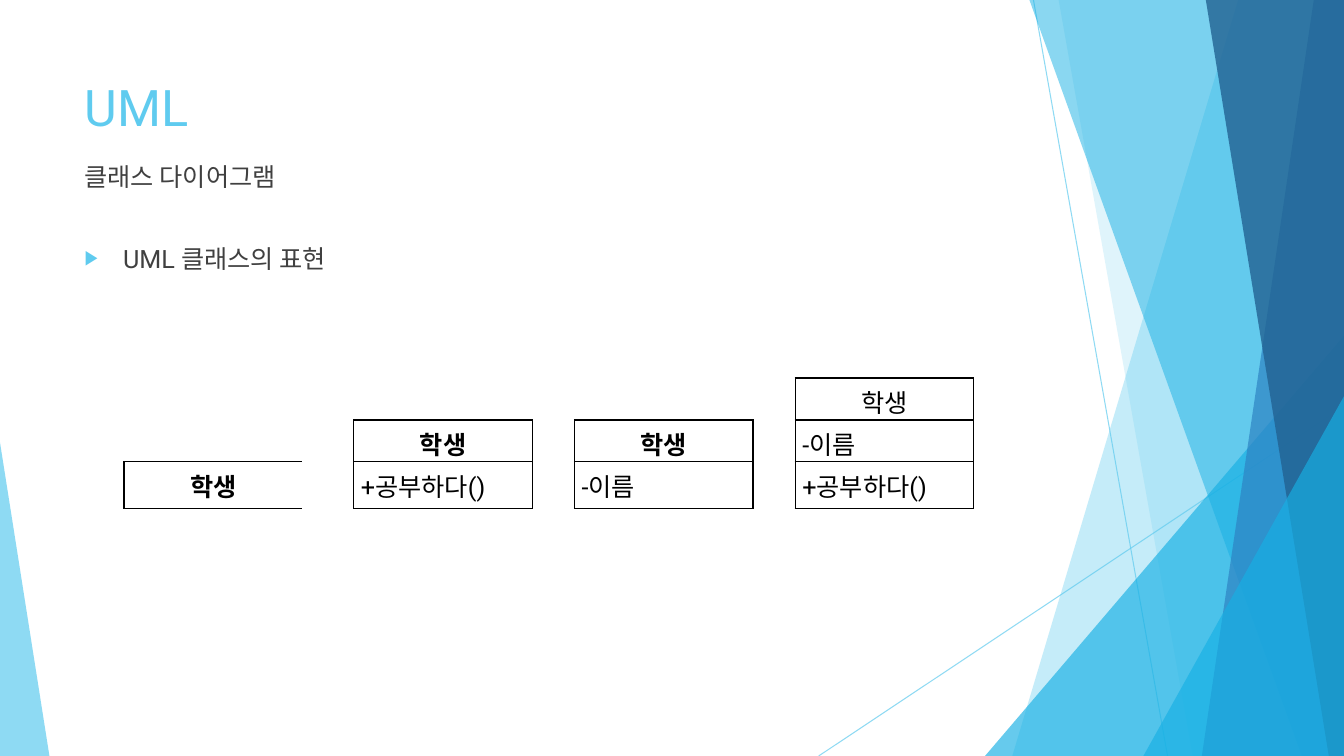
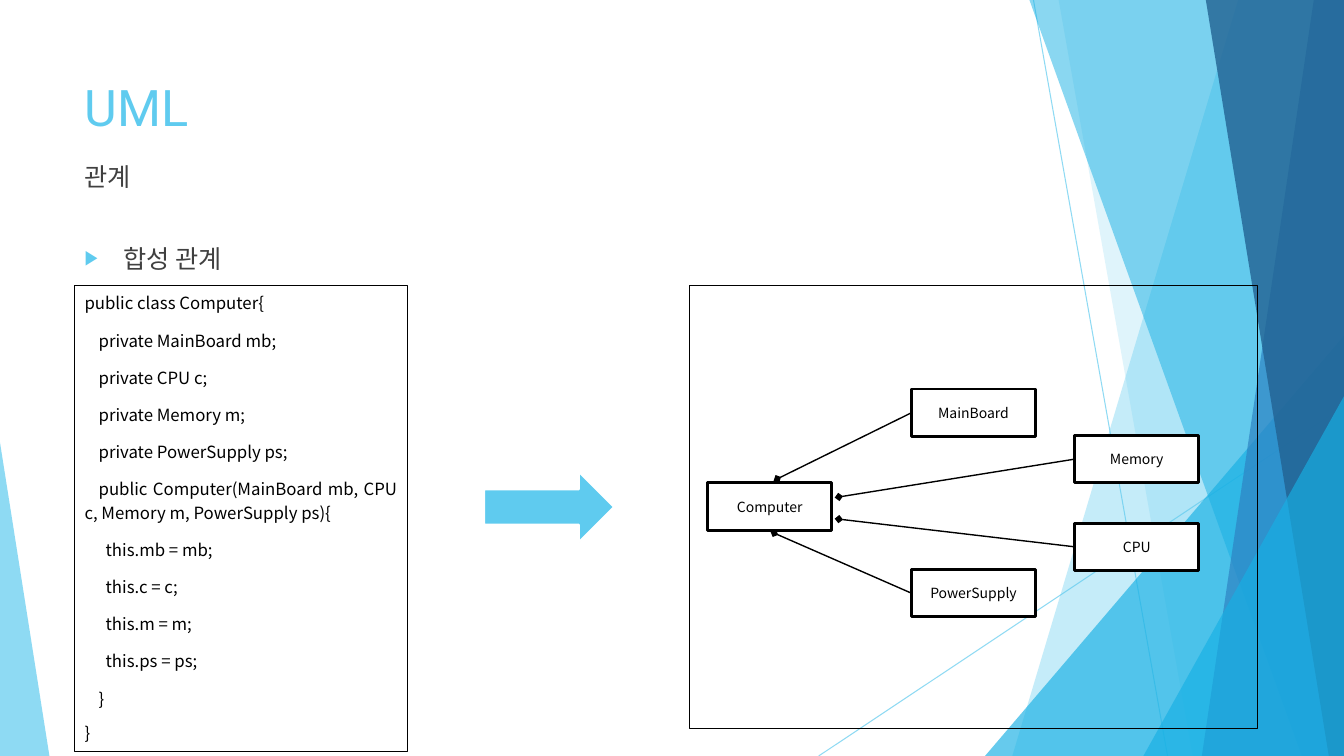
import pptx
import pptx.util
import pptx.dml.color
import pptx.enum.shapes
import pptx.enum.text
import pptx.oxml
import pptx.oxml.ns
import lxml.etree

Inches = pptx.util.Inches
Pt = pptx.util.Pt
RGBColor = pptx.dml.color.RGBColor
Shape = pptx.enum.shapes.MSO_SHAPE
Align = pptx.enum.text.PP_ALIGN
Anchor = pptx.enum.text.MSO_ANCHOR
qn = pptx.oxml.ns.qn

SKY = RGBColor(0x5F, 0xCB, 0xEF)
CYAN = RGBColor(0x17, 0xB0, 0xE4)
BLUE = RGBColor(0x2E, 0x83, 0xC3)
NAVY = RGBColor(0x22, 0x62, 0x92)
GREY = RGBColor(0x40, 0x40, 0x40)
BLACK = RGBColor(0, 0, 0)
WHITE = RGBColor(255, 255, 255)
LATIN, KOREAN = "Roboto", "Noto Sans CJK KR"
WIDTH, HEIGHT = 13.33, 7.5
LEFT, TEXT_WIDTH = 0.74, 9.4

RAYS = [((10.25, 0), (11.58, HEIGHT)), ((WIDTH, 4.03), (8.12, HEIGHT))]
BANDS = [
    ("band", 12.28, 10.04, SKY, 36),
    ("band", 10.5, 11.83, SKY, 20),
    ("triangle", (9.77, 3.33, 3.56), 1, CYAN, 66),
    ("band", 10.21, 12.91, CYAN, 50),
    ("band", 13.03, 11.92, BLUE, 70),
    ("band", 11.96, 13.18, NAVY, 80),
    ("triangle", (11.34, 3.93, 1.99), 1, CYAN, 66),
    ("triangle", (0, 4.39, 0.49), 0, SKY, 70),
]

CLASS_SLIDE = ("UML", "클래스 다이어그램", "UML 클래스의 표현")
RELATION_SLIDE = ("UML", "관계", "합성 관계")

CLASS_COLUMNS = [1.77, 0.51, 1.77, 0.42, 1.77, 0.42, 1.77]
CLASS_ROW, CLASS_ROWS = 0.41, 3
CLASS_BOXES = {
    0: ["학생"],
    2: ["학생", "+공부하다()"],
    4: ["학생", "-이름"],
    6: ["학생", "-이름", "+공부하다()"],
}

CODE_STEP = 0.14
CODE = [
    (0, "public class Computer{"),
    (1, "private MainBoard mb;"),
    (1, "private CPU c;"),
    (1, "private Memory m;"),
    (1, "private PowerSupply ps;"),
    (1, "public Computer(MainBoard mb, CPU c, Memory m, PowerSupply ps){"),
    (1.5, "this.mb = mb;"),
    (1.5, "this.c = c;"),
    (1.5, "this.m = m;"),
    (1.5, "this.ps = ps;"),
    (1, "}"),
    (0, "}"),
]

PANEL_TOP = 2.83
NODE_WIDTH, NODE_HEIGHT = 1.23, 0.47
WHOLE = ("Computer", 7.02, 4.79)
PARTS = [
    ("PowerSupply", 9.04, 5.65, (7.68, 5.29)),
    ("CPU", 10.66, 5.19, (8.32, 5.15)),
    ("Memory", 10.66, 4.32, (8.32, 4.93)),
    ("MainBoard", 9.04, 3.86, (7.71, 4.75)),
]


def add_xml(parent, tag, **attributes):
    child = lxml.etree.SubElement(parent, qn(tag))
    for name, value in attributes.items():
        child.set(name, str(value))
    return child


def set_alpha(shape, percent):
    color = shape.element.xpath(".//p:spPr//a:srgbClr")[0]
    add_xml(color, "a:alpha", val=percent * 1000)


def style_text(paragraph, size, color, font=LATIN, bold=False):
    for run in paragraph.runs:
        run.font.size = Pt(size)
        run.font.name = font
        run.font.bold = bold
        run.font.color.rgb = color
        add_xml(run.font._element, "a:ea", typeface=KOREAN)


def place(shape, left, top, width, height):
    shape.left, shape.top = Inches(left), Inches(top)
    shape.width, shape.height = Inches(width), Inches(height)


def add_box(slide, kind, left, top, width, height, fill=None, line=None, weight=0.75):
    shape = slide.shapes.add_shape(kind, Inches(left), Inches(top), Inches(width), Inches(height))
    paint(shape, fill, line, weight)
    return shape


def paint(shape, fill, line=None, weight=0.75):
    shape.shadow.inherit = False
    if fill is None:
        shape.fill.background()
    else:
        shape.fill.solid()
        shape.fill.fore_color.rgb = fill
    if line is None:
        shape.line.fill.background()
    else:
        shape.line.color.rgb = line
        shape.line.width = Pt(weight)


def add_line(slide, start, end, color, weight):
    points = [Inches(value) for value in (*start, *end)]
    line = slide.shapes.add_connector(pptx.enum.shapes.MSO_CONNECTOR.STRAIGHT, *points)
    line.line.color.rgb = color
    line.line.width = Pt(weight)
    add_xml(line.element.spPr, "a:effectLst")
    return line


def add_band(slide, top_x, bottom_x):
    corners = [(WIDTH, 0), (WIDTH, HEIGHT), (bottom_x, HEIGHT)]
    builder = slide.shapes.build_freeform(Inches(top_x), 0)
    builder.add_line_segments([(Inches(x), Inches(y)) for x, y in corners])
    return builder.convert_to_shape()


def build_backdrop(slide, layout):
    decorations = []
    for start, end in RAYS:
        ray = add_line(slide, start, end, SKY, 0.75)
        set_alpha(ray, 70)
        decorations.append(ray)
    for kind, place_at, lean, color, opacity in BANDS:
        if kind == "band":
            shape = add_band(slide, place_at, lean)
            paint(shape, color)
        else:
            left, top, width = place_at
            shape = add_box(slide, Shape.ISOSCELES_TRIANGLE, left, top, width, HEIGHT - top, color)
            shape.adjustments[0] = lean
        set_alpha(shape, opacity)
        decorations.append(shape)
    for index, shape in enumerate(decorations):
        shape.element.xpath(".//p:cNvPr")[0].set("id", str(100 + index))
        layout.shapes.element.insert(2 + index, shape.element)


def fill_heading(slide, title, subtitle, topic):
    heading, body = slide.placeholders
    heading.text_frame.text = title
    heading.text_frame.vertical_anchor = Anchor.MIDDLE
    heading.text_frame.paragraphs[0].alignment = Align.LEFT
    style_text(heading.text_frame.paragraphs[0], 36, SKY)

    label = slide.shapes.add_textbox(Inches(LEFT), Inches(1.55), Inches(TEXT_WIDTH), Inches(0.68))
    for shape, text in ((body, topic), (label, subtitle)):
        frame = shape.text_frame
        frame.word_wrap = True
        frame.auto_size = pptx.enum.text.MSO_AUTO_SIZE.NONE
        frame.text = text
        frame.paragraphs[0].space_before = Pt(10)
        style_text(frame.paragraphs[0], 18, GREY)
    properties = body.text_frame.paragraphs[0]._p.get_or_add_pPr()
    properties.set("marL", str(Inches(0.38)))
    properties.set("indent", str(-Inches(0.38)))
    add_xml(add_xml(properties, "a:buClr"), "a:srgbClr", val=SKY)
    add_xml(properties, "a:buSzPct", val=80000)
    add_xml(properties, "a:buChar", char="▶")


def set_borders(cell, sides):
    properties = cell._tc.get_or_add_tcPr()
    for index, side in enumerate(sides):
        edge = pptx.oxml.parse_xml(
            '<a:ln%s xmlns:a="http://schemas.openxmlformats.org/drawingml/2006/main" w="12700">'
            '<a:solidFill><a:srgbClr val="%s"/></a:solidFill></a:ln%s>' % (side, BLACK, side))
        properties.insert(index, edge)


def add_class_table(slide):
    frame = slide.shapes.add_table(
        CLASS_ROWS, len(CLASS_COLUMNS), Inches(1.23), Inches(3.75),
        Inches(sum(CLASS_COLUMNS)), Inches(CLASS_ROW * CLASS_ROWS))
    table = frame.table
    table.first_row = table.horz_banding = False
    style = frame.element.xpath(".//a:tableStyleId")[0]
    style.text = "{2D5ABB26-0587-4C30-8999-92F81FD0307C}"
    for row in table.rows:
        row.height = Inches(CLASS_ROW)
    last = len(CLASS_COLUMNS) - 1
    for column, width in enumerate(CLASS_COLUMNS):
        table.columns[column].width = Inches(width)
        entries = CLASS_BOXES.get(column, [])
        first = CLASS_ROWS - len(entries)
        if first > 1:
            table.cell(0, column).merge(table.cell(first - 1, column))
        for row in range(CLASS_ROWS):
            cell = table.cell(row, column)
            cell.fill.solid()
            cell.fill.fore_color.rgb = WHITE
            if row < first:
                continue
            cell.text_frame.text = entries[row - first]
            paragraph = cell.text_frame.paragraphs[0]
            is_name = row == first
            paragraph.alignment = Align.CENTER if is_name else Align.LEFT
            if column:
                paragraph.line_spacing = 1.15
                cell.margin_left = cell.margin_right = Inches(0.07)
                cell.margin_top = cell.margin_bottom = 0
            style_text(paragraph, 18, BLACK, bold=is_name and column != last)
            set_borders(cell, "LRTB" if column == last else "LTB")


def add_code(slide):
    box = add_box(slide, Shape.RECTANGLE, LEFT, PANEL_TOP, 3.3, 4.63, line=BLACK)
    frame = box.text_frame
    frame.word_wrap = True
    frame.vertical_anchor = Anchor.TOP
    frame.text = "\n".join(text for level, text in CODE)
    for paragraph, (level, text) in zip(frame.paragraphs, CODE):
        paragraph.alignment = Align.JUSTIFY
        paragraph.line_spacing = 1.15
        paragraph.space_after = Pt(10)
        paragraph._p.get_or_add_pPr().set("indent", str(Inches(level * CODE_STEP)))
        style_text(paragraph, 12, BLACK, KOREAN)
    closing = frame.paragraphs[-1]
    closing.alignment = Align.LEFT
    closing.line_spacing = 1.0
    closing.space_after = Pt(0)


def add_node(slide, name, left, top):
    node = add_box(slide, Shape.RECTANGLE, left, top, NODE_WIDTH, NODE_HEIGHT, WHITE, BLACK, 2)
    node.text_frame.text = name
    node.text_frame.vertical_anchor = Anchor.MIDDLE
    node.text_frame.paragraphs[0].alignment = Align.CENTER
    style_text(node.text_frame.paragraphs[0], 10, BLACK, KOREAN)


def add_composition(slide):
    add_box(slide, Shape.RIGHT_ARROW, 4.8, 4.68, 1.29, 0.7, SKY, WHITE, 1.5)
    add_box(slide, Shape.RECTANGLE, 6.84, PANEL_TOP, 5.63, 4.4, line=BLACK)
    add_node(slide, *WHOLE)
    for name, left, top, joint in PARTS:
        add_node(slide, name, left, top)
        link = add_line(slide, (left, top + NODE_HEIGHT / 2), joint, BLACK, 1)
        add_xml(link.line._get_or_add_ln(), "a:tailEnd", type="diamond")


presentation = pptx.Presentation()
presentation.slide_width = Inches(WIDTH)
presentation.slide_height = Inches(HEIGHT)
layout = presentation.slide_layouts[1]
place(layout.placeholders[0], LEFT, 0.67, TEXT_WIDTH, 0.76)
place(layout.placeholders[1], LEFT, 2.36, TEXT_WIDTH, 0.93)

class_slide = presentation.slides.add_slide(layout)
build_backdrop(class_slide, layout)
fill_heading(class_slide, *CLASS_SLIDE)
add_class_table(class_slide)

relation_slide = presentation.slides.add_slide(layout)
fill_heading(relation_slide, *RELATION_SLIDE)
add_code(relation_slide)
add_composition(relation_slide)

presentation.save("out.pptx")
